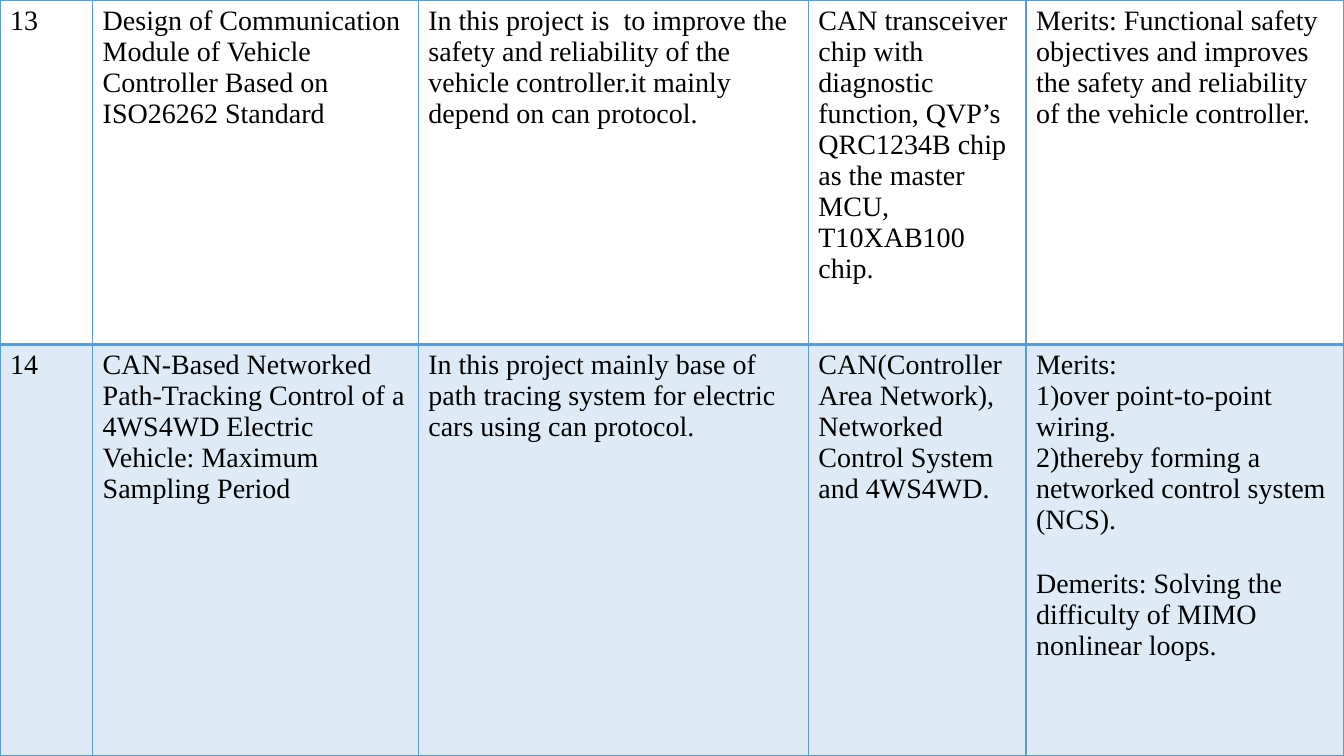
"""Build a literature survey table slide for vehicle CAN projects."""
from lxml import etree
from pptx import Presentation
from pptx.dml.color import RGBColor
from pptx.oxml.ns import qn
from pptx.util import Pt

COLORS = {"text": "000000", "border": "5B9BD5", "plain": "FFFFFF", "band": "DEEBF7"}
FONT = "Times New Roman"
FONT_SIZE = 20
SECTION_GAP = 23
THIN, THICK = 1, 2
BLANK_LAYOUT = 6

COLUMN_WIDTHS = [66.2, 232.6, 278.6, 155.5, 227.1]
ROW_HEIGHTS = [246, 294]
ROW_FILLS = ["plain", "band"]
SURVEY = [
    [
        ["13"],
        ["Design of Communication Module of Vehicle Controller Based on ISO26262 Standard"],
        ["In this project is  to improve the safety and reliability of the vehicle "
         "controller.it mainly depend on can protocol."],
        ["CAN transceiver chip with diagnostic function, QVP’s QRC1234B chip as the "
         "master MCU, T10XAB100 chip."],
        ["Merits: Functional safety objectives and improves the safety and reliability "
         "of the vehicle controller."],
    ],
    [
        ["14"],
        ["CAN-Based Networked Path-Tracking Control of a 4WS4WD Electric Vehicle: "
         "Maximum Sampling Period"],
        ["In this project mainly base of path tracing system for electric cars using "
         "can protocol."],
        ["CAN(Controller Area Network), Networked Control System and 4WS4WD."],
        ["Merits:", "1)over point-to-point wiring.",
         "2)thereby forming a networked control system (NCS).",
         "Demerits: Solving the difficulty of MIMO nonlinear loops."],
    ],
]


def set_borders(cell, widths):
    properties = cell._tc.get_or_add_tcPr()
    for position, (side, width) in enumerate(widths.items()):
        line = etree.Element(qn(f"a:ln{side}"), w=str(Pt(width)))
        fill = etree.SubElement(line, qn("a:solidFill"))
        etree.SubElement(fill, qn("a:srgbClr"), val=COLORS["border"])
        properties.insert(position, line)


def write_cell(cell, lines):
    cell.text = "\n".join(lines)
    for paragraph in cell.text_frame.paragraphs:
        paragraph.font.name = FONT
        paragraph.font.size = Pt(FONT_SIZE)
        paragraph.font.bold = False
        paragraph.font.color.rgb = RGBColor.from_string(COLORS["text"])
        if paragraph.text.startswith("Demerits"):
            paragraph.space_before = Pt(SECTION_GAP)


deck = Presentation()
deck.slide_width, deck.slide_height = Pt(960), Pt(540)
page = deck.slides.add_slide(deck.slide_layouts[BLANK_LAYOUT])
table = page.shapes.add_table(
    len(SURVEY), len(COLUMN_WIDTHS), 0, 0, Pt(sum(COLUMN_WIDTHS)), Pt(sum(ROW_HEIGHTS))
).table
table.first_row = table.horz_banding = False
for column, width in zip(table.columns, COLUMN_WIDTHS):
    column.width = Pt(width)

for row_index, (row, height) in enumerate(zip(table.rows, ROW_HEIGHTS)):
    row.height = Pt(height)
    top = THICK if row_index > 0 else THIN
    bottom = THICK if row_index < len(SURVEY) - 1 else THIN
    for cell, lines in zip(row.cells, SURVEY[row_index]):
        write_cell(cell, lines)
        cell.fill.solid()
        cell.fill.fore_color.rgb = RGBColor.from_string(COLORS[ROW_FILLS[row_index]])
        set_borders(cell, {"L": THIN, "R": THIN, "T": top, "B": bottom})

deck.save("out.pptx")
